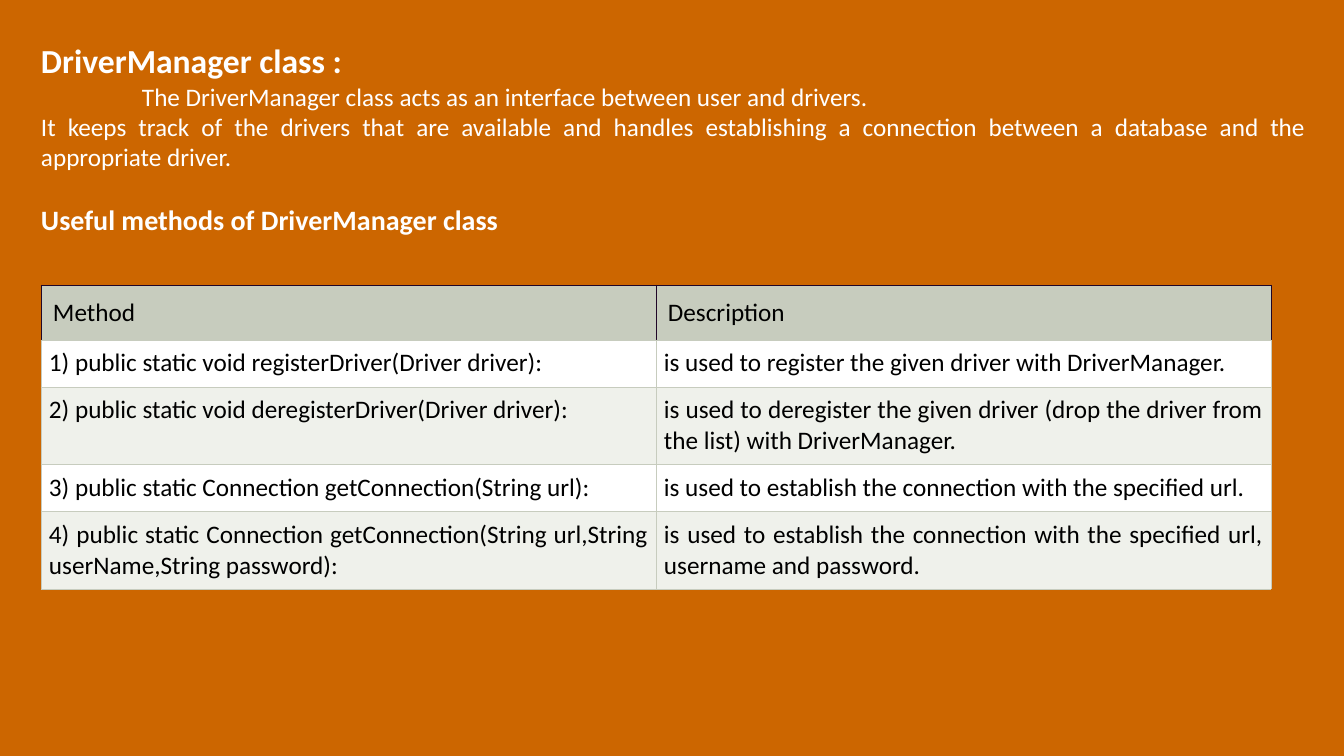
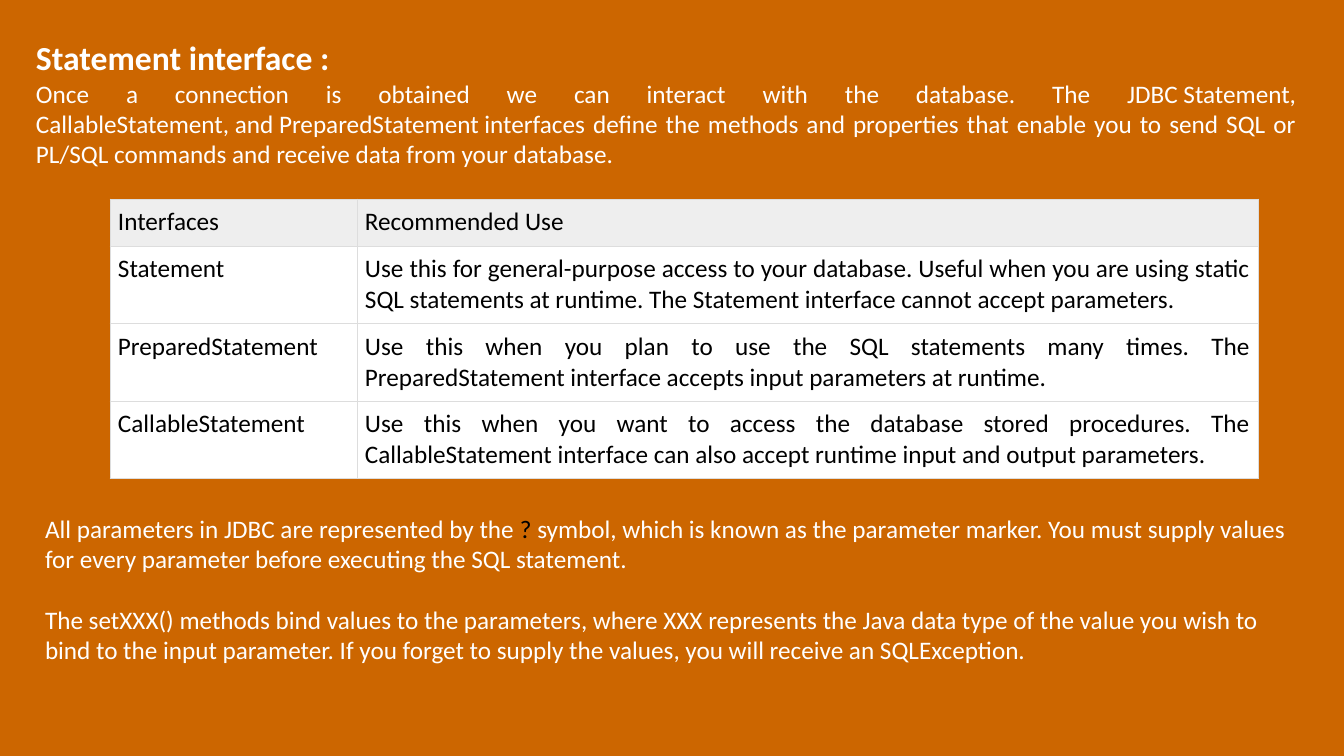
from dataclasses import dataclass
from itertools import product
from typing import NamedTuple

from lxml.etree import SubElement
from pptx import Presentation
from pptx.dml.color import RGBColor as Rgb
from pptx.enum.text import MSO_ANCHOR as Anchor, MSO_AUTO_SIZE as Fit, PP_ALIGN as Align
from pptx.oxml import parse_xml
from pptx.oxml.ns import nsdecls, qn
from pptx.util import Emu, Pt

SCALE = 914400 / 100.8


@dataclass(frozen=True)
class Theme:
    """Colours, font and type sizes of the deck."""
    font: str = "Calibri"
    back: str = "CC6600"
    light: str = "FFFFFF"
    dark: str = "000000"
    edge: str = "200627"
    sage: str = "C7CCBE"
    mist: str = "EFF1EB"
    line: str = "DDDDDD"
    grey: str = "EEEEEE"
    title: int = 24
    head: int = 20
    body: int = 18
    rule: float = 0.75


THEME = Theme()


class Box(NamedTuple):
    """Place and size in pixels."""
    left: int
    top: int
    width: int
    height: int


class Run(NamedTuple):
    """A piece of text in one style."""
    text: str
    color: str = THEME.light
    size: int = THEME.body
    bold: bool = False


@dataclass(frozen=True)
class Para:
    """Runs with their layout; gap in points, indent in pixels."""
    runs: tuple[Run, ...]
    align: Align = Align.JUSTIFY
    gap: int = 0
    indent: int = 0


@dataclass(frozen=True)
class Grid:
    """A table whose first row is its header."""
    left: int
    top: int
    cols: tuple[int, ...]
    rows: tuple[int, ...]
    cells: tuple[tuple[str, ...], ...]
    fills: tuple[str, str, str]  # header, odd rows, even rows
    line: str
    edge: str  # left, right and top of the header
    pad: int  # header inset


@dataclass(frozen=True)
class Page:
    """One slide: a title, its text blocks and a table."""
    layout: int
    title: str
    spot: Box
    blocks: tuple[tuple[Box, tuple[Para, ...]], ...]
    grid: Grid


def px(count: float) -> Emu:
    """Turn pixels into EMU."""
    return Emu(round(count * SCALE))


def add_para(para, data: Para) -> None:
    """Write one paragraph run by run."""
    para.alignment = data.align
    para.line_spacing = 1.0
    para.space_before, para.space_after = Pt(data.gap), Pt(0)
    props = para._p.get_or_add_pPr()
    props.set("marL", "0")
    props.set("indent", str(px(data.indent)))
    SubElement(props, qn("a:buNone"))
    for item in data.runs:
        run = para.add_run()
        run.text = item.text
        font = run.font
        font.name, font.size, font.bold = THEME.font, Pt(item.size), item.bold
        font.color.rgb = Rgb.from_string(item.color)


def fill_box(shape, box: Box, paras: tuple[Para, ...]) -> None:
    """Move a placeholder and fill it with paragraphs."""
    shape.left, shape.top, shape.width, shape.height = map(px, box)
    frame = shape.text_frame
    frame.word_wrap, frame.auto_size = True, Fit.NONE
    frame.vertical_anchor = Anchor.TOP
    frame.margin_left = frame.margin_right = px(10)
    frame.margin_top = frame.margin_bottom = px(5)
    for index, data in enumerate(paras):
        add_para(frame.add_paragraph() if index else frame.paragraphs[0], data)


def rule_cell(cell, edge: str, base: str) -> None:
    """Draw the four borders of a cell."""
    props = cell._tc.get_or_add_tcPr()
    for index, side in enumerate("LRTB"):
        color = base if side == "B" else edge
        props.insert(index, parse_xml(
            f'<a:ln{side} {nsdecls("a")} w="{Pt(THEME.rule)}"><a:solidFill>'
            f'<a:srgbClr val="{color}"/></a:solidFill></a:ln{side}>'))


def add_grid(slide, grid: Grid) -> None:
    """Draw a table."""
    rows, cols = len(grid.rows), len(grid.cols)
    frame = slide.shapes.add_table(rows, cols, px(grid.left), px(grid.top),
                                   px(sum(grid.cols)), px(sum(grid.rows)))
    table = frame.table
    table.first_row = table.horz_banding = False
    for col, width in zip(table.columns, grid.cols):
        col.width = px(width)
    for row, height in zip(table.rows, grid.rows):
        row.height = px(height)
    for row, col in product(range(rows), range(cols)):
        cell = table.cell(row, col)
        pad = px(8 if row else grid.pad)
        cell.margin_left = cell.margin_right = pad
        cell.margin_top = cell.margin_bottom = pad
        cell.fill.solid()
        tone = grid.fills[2 - row % 2 if row else 0]
        cell.fill.fore_color.rgb = Rgb.from_string(tone)
        rule_cell(cell, grid.line if row else grid.edge, grid.line)
        text = Run(grid.cells[row][col], THEME.dark)
        add_para(cell.text_frame.paragraphs[0], Para((text,)))


def add_page(deck, page: Page) -> None:
    """Build one slide."""
    slide = deck.slides.add_slide(deck.slide_layouts[page.layout])
    title = Run(page.title, size=THEME.title, bold=True)
    fill_box(slide.shapes.title, page.spot, (Para((title,)),))
    for index, (box, paras) in enumerate(page.blocks, 1):
        fill_box(slide.placeholders[index], box, paras)
    add_grid(slide, page.grid)


DRIVER = Page(
    layout=1, title="DriverManager class :", spot=Box(31, 35, 1285, 51),
    blocks=((Box(31, 76, 1285, 197), (
        Para((Run("The DriverManager class acts as an interface between user "
                  "and drivers."),), indent=101),
        Para((Run("It keeps track of the drivers that are available and handles "
                  "establishing a connection between a database and the "
                  "appropriate driver."),)),
        Para((Run("Useful methods of DriverManager class", size=THEME.head,
                  bold=True),), gap=22),
    )),),
    grid=Grid(
        left=41, top=285, cols=(615, 615), rows=(55, 47, 77, 47, 77),
        cells=(
            ("Method", "Description"),
            ("1) public static void registerDriver(Driver driver):",
             "is used to register the given driver with DriverManager."),
            ("2) public static void deregisterDriver(Driver driver):",
             "is used to deregister the given driver (drop the driver from "
             "the list) with DriverManager."),
            ("3) public static Connection getConnection(String url):",
             "is used to establish the connection with the specified url."),
            ("4) public static Connection getConnection(String url,String "
             "userName,String password):",
             "is used to establish the connection with the specified url, "
             "username and password."),
        ),
        fills=(THEME.sage, THEME.light, THEME.mist),
        line=THEME.sage, edge=THEME.edge, pad=12))

STATE = Page(
    layout=3, title="Statement interface :", spot=Box(26, 32, 1281, 51),
    blocks=(
        (Box(26, 73, 1281, 101), (
            Para((Run("Once a connection is obtained we can interact with the "
                      "database. The JDBC\u00a0Statement, CallableStatement,"
                      "\u00a0and\u00a0PreparedStatement\u00a0interfaces define "
                      "the methods and properties that enable you to send SQL "
                      "or PL/SQL commands and receive data from your "
                      "database."),)),
        )),
        (Box(35, 508, 1272, 163), (
            Para((Run("All parameters in JDBC are represented by the\u00a0"),
                  Run("?\u00a0", THEME.dark),
                  Run("symbol, which is known as the parameter marker. You must "
                      "supply values for every parameter before executing the "
                      "SQL statement.")), Align.LEFT),
            Para((Run("The\u00a0setXXX()\u00a0methods bind values to the "
                      "parameters, where\u00a0XXX\u00a0represents the Java data "
                      "type of the value you wish to bind to the input "
                      "parameter. If you forget to supply the values, you will "
                      "receive an SQLException."),), Align.LEFT, gap=22),
        )),
    ),
    grid=Grid(
        left=110, top=199, cols=(247, 901), rows=(47, 77, 77, 77),
        cells=(
            ("Interfaces", "Recommended Use"),
            ("Statement",
             "Use this for general-purpose access to your database. Useful when "
             "you are using static SQL statements at runtime. The Statement "
             "interface cannot accept parameters."),
            ("PreparedStatement",
             "Use this when you plan to use the SQL statements many times. The "
             "PreparedStatement interface accepts input parameters at runtime."),
            ("CallableStatement",
             "Use this when you want to access the database stored procedures. "
             "The CallableStatement interface can also accept runtime input and "
             "output parameters."),
        ),
        fills=(THEME.grey, THEME.light, THEME.light),
        line=THEME.line, edge=THEME.line, pad=8))


def main() -> None:
    """Build and save the deck."""
    deck = Presentation()
    deck.slide_width, deck.slide_height = px(1344), px(756)
    back = deck.slide_master.background.fill
    back.solid()
    back.fore_color.rgb = Rgb.from_string(THEME.back)
    for page in (DRIVER, STATE):
        add_page(deck, page)
    deck.save("out.pptx")


main()
